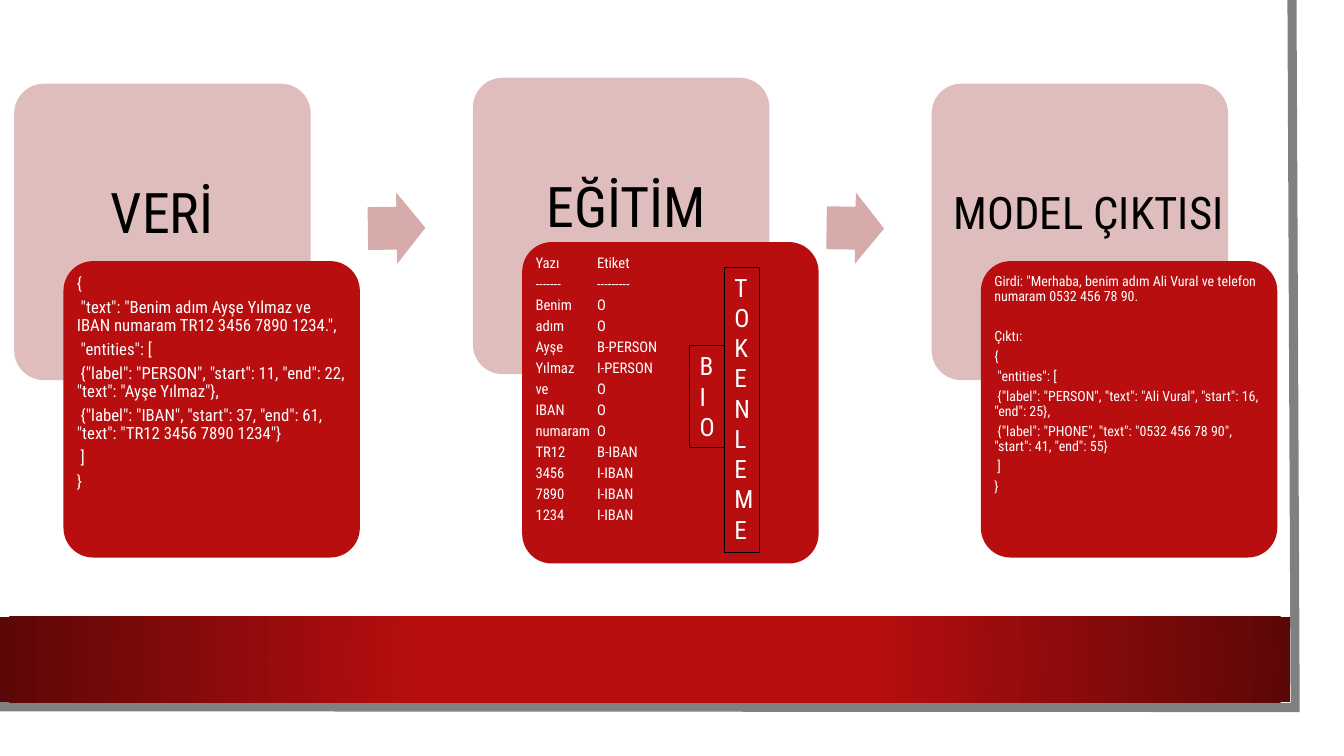
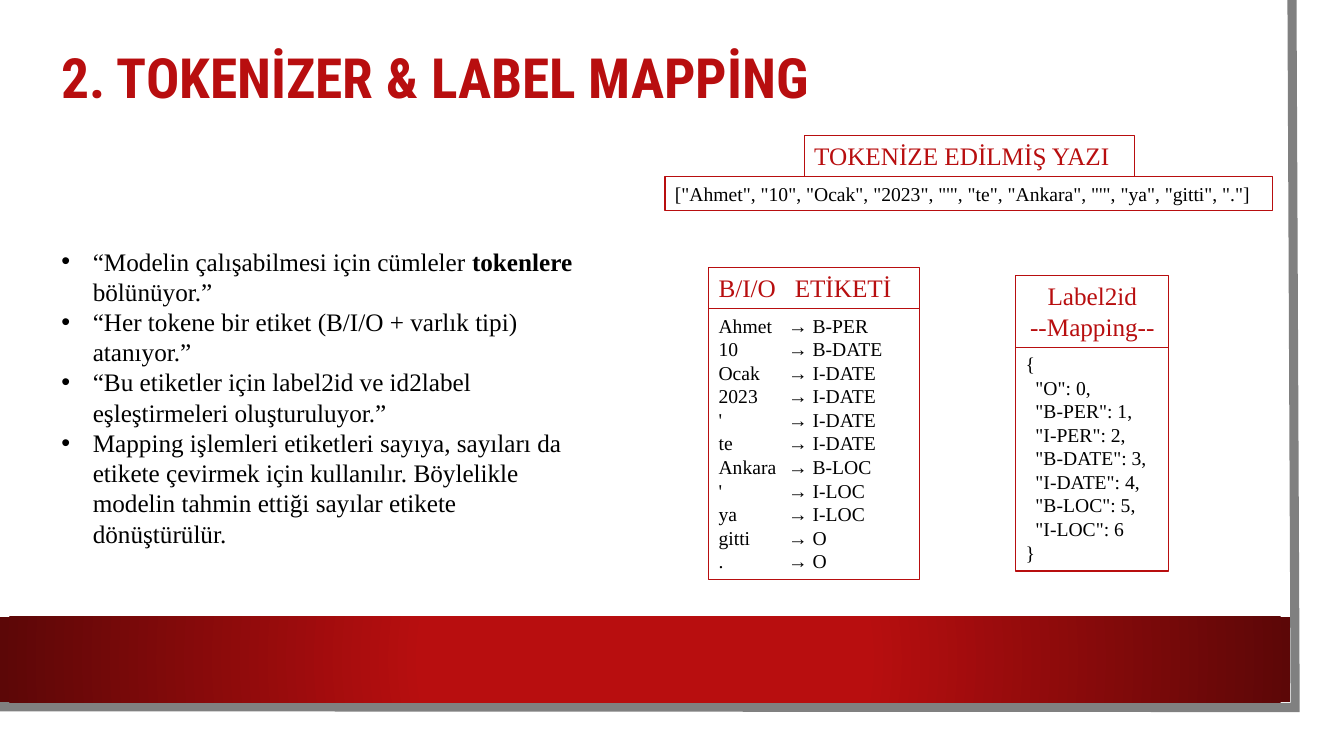
from pptx import Presentation
from pptx.dml.color import RGBColor
from pptx.enum.shapes import MSO_SHAPE
from pptx.enum.text import MSO_ANCHOR, PP_ALIGN
from pptx.oxml import parse_xml
from pptx.oxml.ns import nsdecls, qn
from pptx.util import Cm, Pt
from lxml import etree

RECT, ROUND, ARROW = MSO_SHAPE.RECTANGLE, MSO_SHAPE.ROUNDED_RECTANGLE, MSO_SHAPE.RIGHT_ARROW
LEFT, CENTER = PP_ALIGN.LEFT, PP_ALIGN.CENTER
TOP, MIDDLE = MSO_ANCHOR.TOP, MSO_ANCHOR.MIDDLE

COLORS = {"red": "B80E0F", "dark": "5C0707", "pale": "DFBDBD", "arrow": "D8ABAB",
          "grey": "808080", "black": "000000", "white": "FFFFFF"}
SANS, SERIF = "Roboto Condensed", "Times New Roman"

TITLE = {"name": SANS, "size": Pt(39.6), "bold": True, "color": "red"}
STAGE = {"name": SANS, "size": Pt(40), "color": "black"}
TAG = {"name": SANS, "size": Pt(18), "color": "white"}
BODY = {"name": SERIF, "size": Pt(18), "color": "black"}
HEADER = {**BODY, "color": "red"}
CODE = {**BODY, "size": Pt(14)}

SIDE = 7.47  # side of a stage square, cm
PITCH = 11.56  # distance between stages, cm

DATA_LINES = [
    "{",
    ' "text": "Benim adım Ayşe Yılmaz ve IBAN numaram TR12 3456 7890 1234.",',
    ' "entities": [',
    ' {"label": "PERSON", "start": 11, "end": 22, "text": "Ayşe Yılmaz"},',
    ' {"label": "IBAN", "start": 37, "end": 61, "text": "TR12 3456 7890 1234"}',
    " ]",
    "}",
]
TRAINING_PAIRS = [
    ("Yazı", "Etiket"), ("-------", "---------"), ("Benim", "O"), ("adım", "O"),
    ("Ayşe", "B-PERSON"), ("Yılmaz", "I-PERSON"), ("ve", "O"), ("IBAN", "O"),
    ("numaram", "O"), ("TR12", "B-IBAN"), ("3456", "I-IBAN"), ("7890", "I-IBAN"),
    ("1234", "I-IBAN"),
]
OUTPUT_LINES = [
    'Girdi: "Merhaba, benim adım Ali Vural ve telefon numaram 0532 456 78 90.',
    "Çıktı:",
    "{",
    ' "entities": [',
    ' {"label": "PERSON", "text": "Ali Vural", "start": 16, "end": 25},',
    ' {"label": "PHONE", "text": "0532 456 78 90", "start": 41, "end": 55}',
    " ]",
    "}",
]
BULLETS = [
    [("“Modelin çalışabilmesi için cümleler ", False), ("tokenlere", True), (" bölünüyor.”", False)],
    "“Her tokene bir etiket (B/I/O + varlık tipi) atanıyor.”",
    "“Bu etiketler için label2id ve id2label eşleştirmeleri oluşturuluyor.”",
    "Mapping işlemleri etiketleri sayıya, sayıları da etikete çevirmek için kullanılır. "
    "Böylelikle modelin tahmin ettiği sayılar etikete dönüştürülür.",
]
TOKEN_LABELS = [
    ("Ahmet", "B-PER"), ("10", "B-DATE"), ("Ocak", "I-DATE"), ("2023", "I-DATE"),
    ("'", "I-DATE"), ("te", "I-DATE"), ("Ankara", "B-LOC"), ("'", "I-LOC"),
    ("ya", "I-LOC"), ("gitti", "O"), (".", "O"),
]
LABELS = ["O", "B-PER", "I-PER", "B-DATE", "I-DATE", "B-LOC", "I-LOC"]


def rgb(name):
    return RGBColor.from_string(COLORS[name])


def add_shape(s, kind, box, fill=None, line=None):
    """Flat preset shape; box is left, top, width, height in cm."""
    sp = s.shapes.add_shape(kind, *map(Cm, box))
    sp.shadow.inherit = False
    if fill:
        sp.fill.solid()
        sp.fill.fore_color.rgb = rgb(fill)
    else:
        sp.fill.background()
    if line:
        sp.line.color.rgb = rgb(line)
        sp.line.width = Pt(0.75)
    else:
        sp.line.fill.background()
    return sp


def add_bullet(p):
    pPr = p._p.get_or_add_pPr()
    pPr.set("marL", str(Cm(0.79)))
    pPr.set("indent", str(-Cm(0.79)))
    etree.SubElement(pPr, qn("a:buFont")).set("typeface", "Arial")
    etree.SubElement(pPr, qn("a:buChar")).set("char", "•")


def add_tab(p, pos):
    tabs = etree.SubElement(p._p.get_or_add_pPr(), qn("a:tabLst"))
    tab = etree.SubElement(tabs, qn("a:tab"))
    tab.set("pos", str(Cm(pos)))
    tab.set("algn", "l")


def write(sp, lines, fmt, align=LEFT, anchor=TOP, wrap=True, bullet=False, tab=None, spacing=None):
    """Fill a shape with paragraphs; a line is a string or (text, bold) pairs."""
    tf = sp.text_frame
    tf.word_wrap = wrap
    tf.vertical_anchor = anchor
    for i, line in enumerate(lines):
        p = tf.paragraphs[0] if i == 0 else tf.add_paragraph()
        if bullet:
            add_bullet(p)
        if tab:
            add_tab(p, tab)
        for key, value in {"alignment": align, **(spacing or {})}.items():
            setattr(p, key, value)
        for text, bold in [(line, None)] if isinstance(line, str) else line:
            r = p.add_run()
            r.text = text
            for key, value in {"bold": bold, **fmt}.items():
                if key == "color":
                    r.font.color.rgb = rgb(value)
                else:
                    setattr(r.font, key, value)
    return tf


def add_text(s, box, lines, fmt, **options):
    return write(s.shapes.add_textbox(*map(Cm, box)), lines, fmt, **options)


def add_frame(s):
    """Grey page edge and red gradient band, shared by all slides."""
    edge = s.shapes.build_freeform(Cm(32.56), 0)
    edge.add_line_segments([(Cm(32.64), Cm(17.83)), (0, Cm(17.81))], close=False)
    sp = edge.convert_to_shape()
    sp.shadow.inherit = False
    sp.fill.background()
    sp.line.color.rgb = rgb("grey")
    sp.line.width = Pt(6.5)
    etree.SubElement(sp.line._get_or_add_ln(), qn("a:miter")).set("lim", "800000")

    band = add_shape(s, RECT, (0, 15.54, 32.51, 2.16))
    band.fill.gradient()
    for stop, position, color in zip(band.fill.gradient_stops, (0.34, 1), ("red", "dark")):
        stop.position = position
        stop.color.rgb = rgb(color)
    lin = band._element.spPr.find(".//" + qn("a:lin"))
    lin.getparent().replace(lin, parse_xml(
        f'<a:path {nsdecls("a")} path="circle">'
        '<a:fillToRect l="50000" t="50000" r="50000" b="50000"/></a:path>'))


def add_stage(s, x, y, title, title_size, title_box, lines, size, card_dy, card_h, tab=None):
    """Pale square with its title and an overlapping red card."""
    dx, w = title_box
    add_shape(s, ROUND, (x, y, SIDE, SIDE), "pale").adjustments[0] = 0.1
    card = add_shape(s, ROUND, (x + 1.24, y + card_dy, SIDE, card_h), "red")
    card.adjustments[0] = 0.1
    tf = write(card, lines, {**TAG, "size": Pt(size)}, tab=tab,
               spacing={"line_spacing": 0.9, "space_after": Pt(size * 0.35)})
    for side in ("left", "top", "right", "bottom"):
        setattr(tf, "margin_" + side, Cm(0.12))
    add_text(s, (x + dx, y + 2.24, w, 1.96), [title], {**STAGE, "size": Pt(title_size)},
             anchor=MIDDLE, wrap=False)
    return tf


def add_titled_box(s, x, y, w, header, header_h, lines, body_h, align=LEFT, header_tab=None, tab=None):
    """Outlined header on top of an outlined list."""
    write(add_shape(s, RECT, (x, y, w, header_h), line="red"), header, HEADER,
          align=align, tab=header_tab)
    write(add_shape(s, RECT, (x, y + header_h, w, body_h), line="red"), lines, CODE, tab=tab)


def build_process(s):
    add_frame(s)
    x, y = 0.36, 2.11
    mid_y = 1.96

    # Three stages
    add_stage(s, x, y, "VERİ", 40, (2.18, 3.58), DATA_LINES, 12, 4.47, SIDE)
    add_stage(s, x + PITCH, mid_y, "EĞİTİM", 40, (1.6, 4.72),
              ["\t".join(pair) for pair in TRAINING_PAIRS], 10.5, 4.14, 8.1, tab=1.55)
    output = add_stage(s, x + 2 * PITCH, y, "MODEL ÇIKTISI", 32, (0.3, 7.52),
                       OUTPUT_LINES, 10, 4.47, SIDE)
    output.paragraphs[1].space_before = Pt(14)

    # Arrows between the stages
    for i, turn in enumerate((359.2, 0.8)):
        arrow = add_shape(s, ARROW, (x + 8.91 + i * PITCH, 4.85, 1.45, 1.8), "arrow")
        arrow.adjustments[0], arrow.adjustments[1] = 0.6, 0.5
        arrow.rotation = turn

    # Upright words on the training card
    for word, left, top, height in (("TOKENLEME", 18.26, 6.73, 7.19), ("BIO", 17.38, 8.71, 2.57)):
        write(add_shape(s, RECT, (left, top, 0.88, height), line="black"), list(word), TAG)


def build_mapping(s):
    add_frame(s)
    add_text(s, (1.3, 1, 28.88, 2.06), ["2. TOKENİZER & LABEL MAPPİNG"], TITLE,
             anchor=MIDDLE, spacing={"line_spacing": 0.9})
    add_text(s, (1.3, 6.07, 13.49, 8.71), BULLETS, BODY, bullet=True)

    # Tokenized text
    tokens = ", ".join(f'"{token}"' for token, _ in TOKEN_LABELS)
    write(add_shape(s, RECT, (16.76, 4.45, 15.32, 0.86), line="red"), [f"[{tokens}]"], CODE)
    write(add_shape(s, RECT, (20.27, 3.42, 8.33, 1.03), line="red"),
          ["TOKENİZE EDİLMİŞ YAZI"], HEADER)

    # Labels and their numbers
    add_titled_box(s, 17.86, 6.75, 5.31, ["B/I/O\tETİKETİ"], 1.03,
                   [f"{token}\t→ {label}" for token, label in TOKEN_LABELS], 6.83,
                   header_tab=1.92, tab=1.75)
    entries = [f'  "{label}": {i}' + ("," if i < len(LABELS) - 1 else "")
               for i, label in enumerate(LABELS)]
    add_titled_box(s, 25.6, 6.95, 3.86, ["Label2id", "--Mapping--"], 1.8,
                   ["{", *entries, "}"], 5.64, align=CENTER)


def main():
    prs = Presentation()
    prs.slide_width, prs.slide_height = Cm(33.87), Cm(19.05)
    for build in (build_process, build_mapping):
        build(prs.slides.add_slide(prs.slide_layouts[6]))
    prs.save("out.pptx")


if __name__ == "__main__":
    main()
